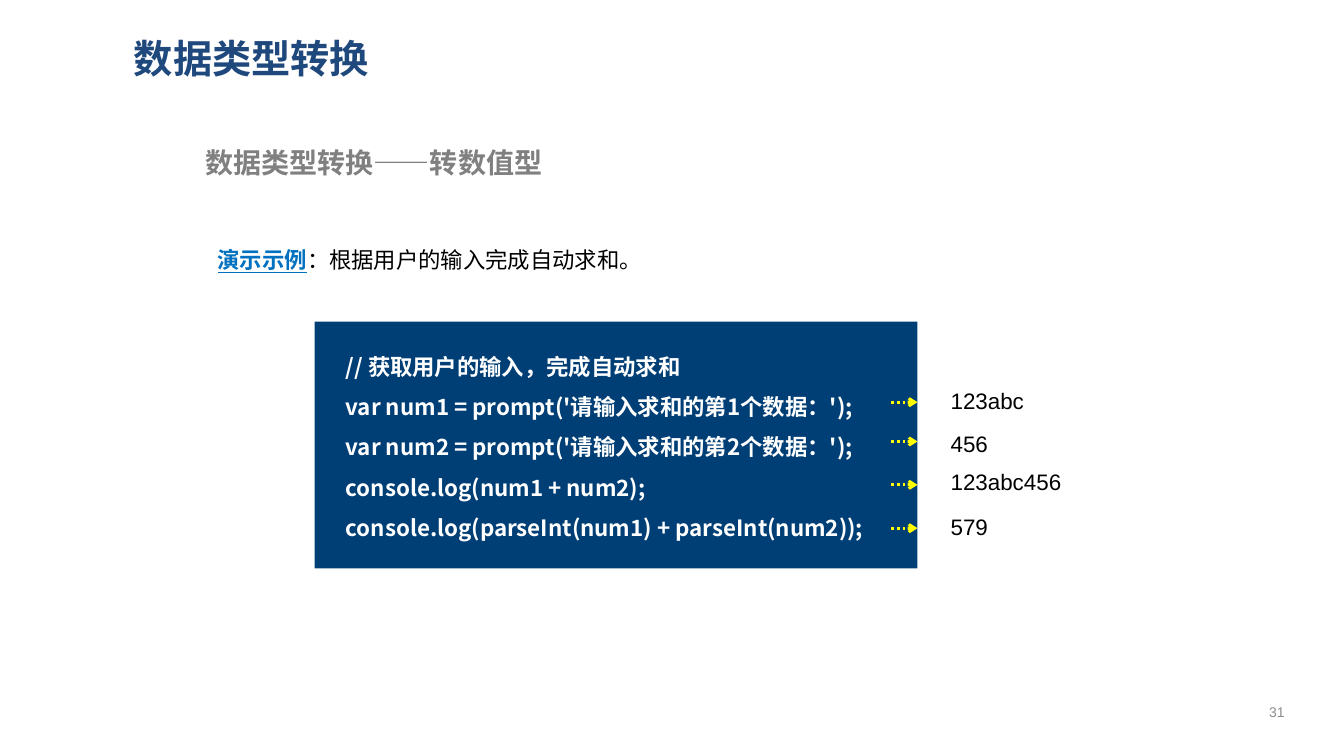
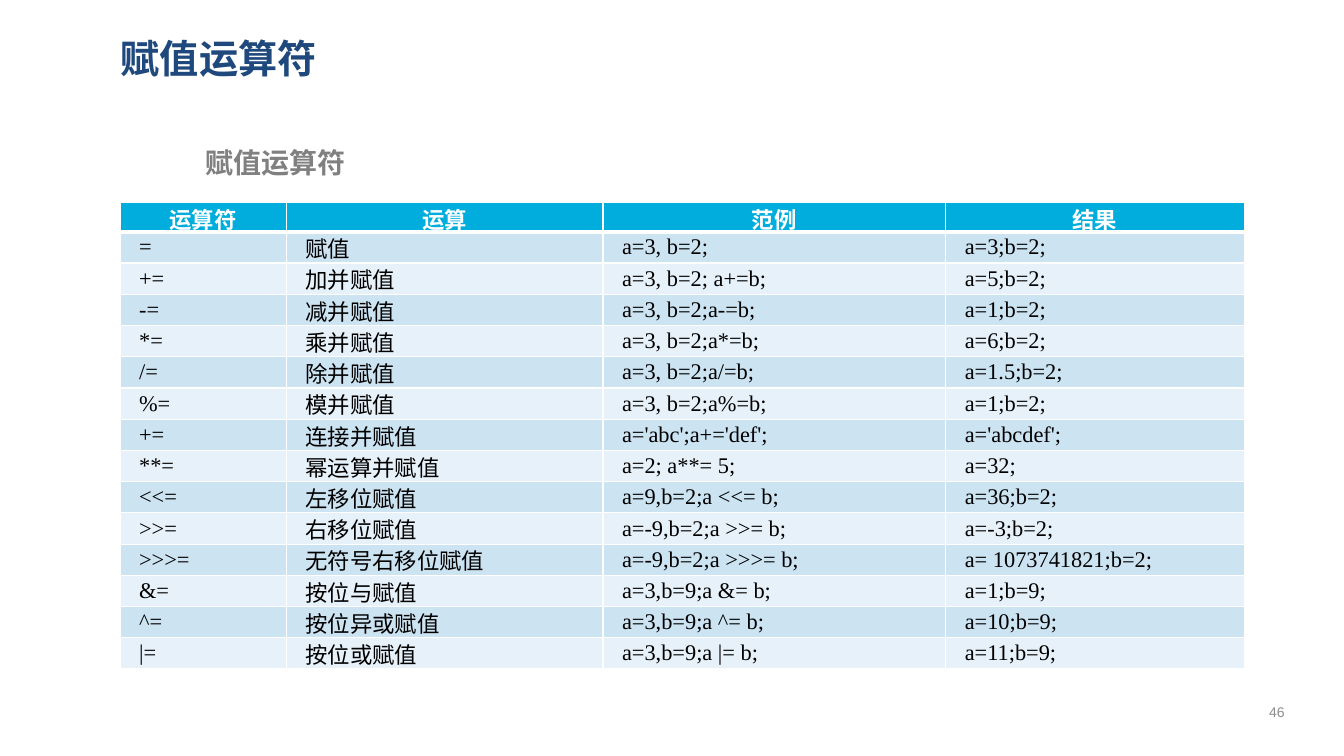
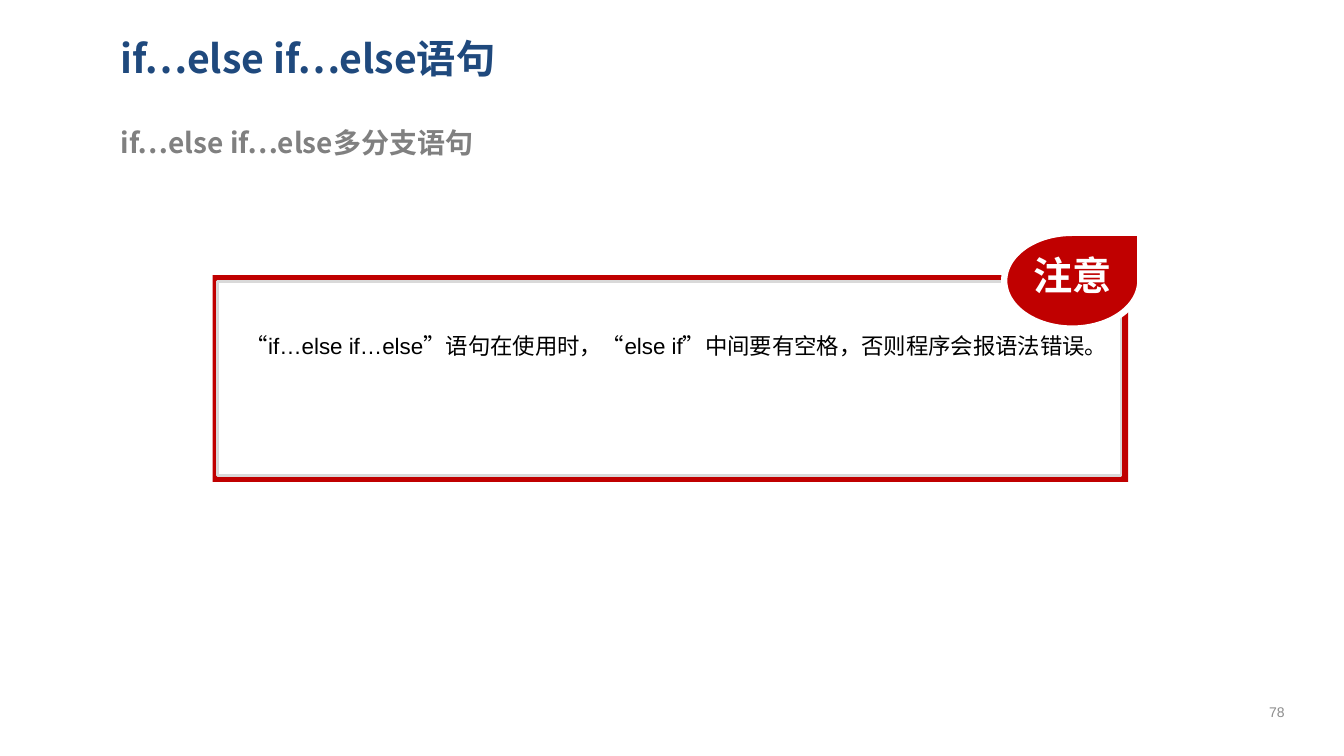
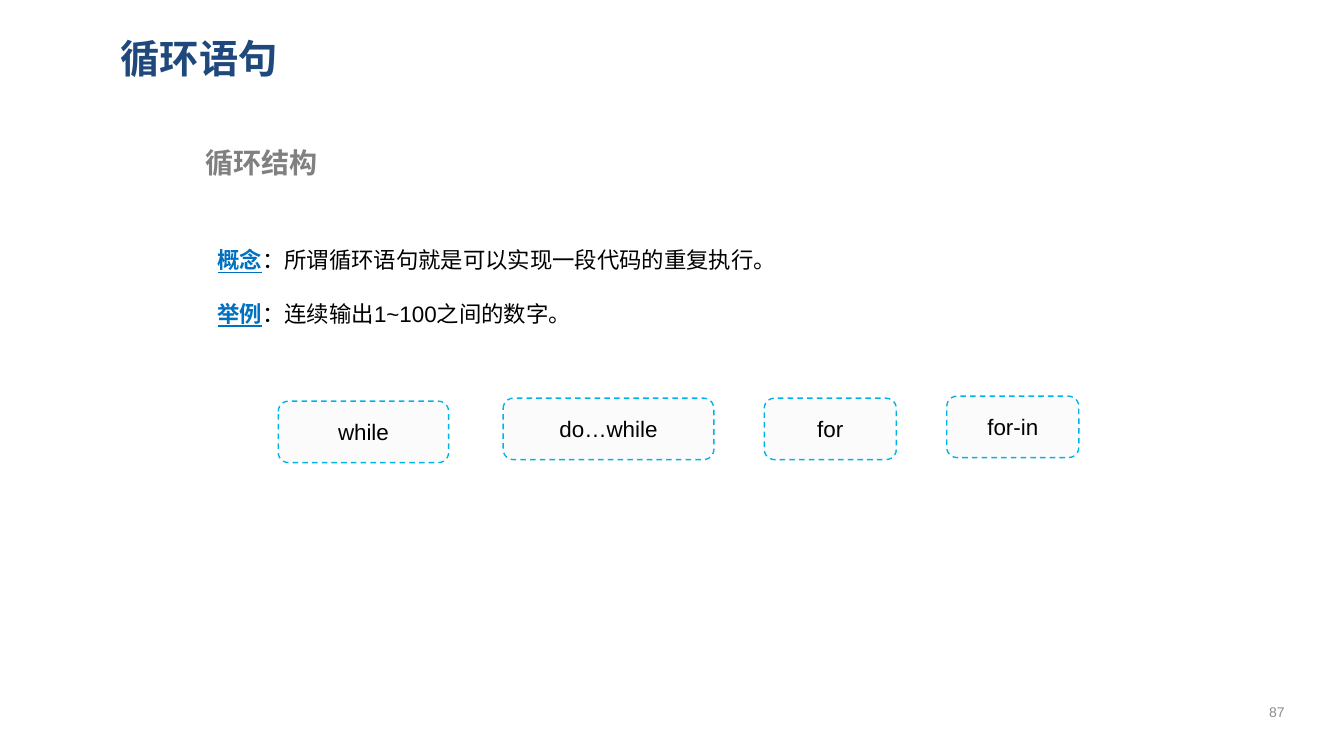
from lxml.etree import SubElement
from pptx import Presentation
from pptx.dml.color import RGBColor
from pptx.enum.dml import MSO_LINE as DASH
from pptx.enum.shapes import MSO_CONNECTOR as CONN, MSO_SHAPE as SHAPE
from pptx.enum.text import MSO_ANCHOR as ANCHOR, MSO_AUTO_SIZE as FIT, PP_ALIGN as ALIGN
from pptx.oxml.ns import qn
from pptx.util import Inches, Pt

COLORS = {
    "title": "1F497D", "subtitle": "808080", "key": "0070C0", "text": "000000",
    "white": "FFFFFF", "code": "003F75", "arrow": "FFFF00", "number": "8C8C8C",
    "head": "00ADDC", "odd": "CCE3F2", "even": "E7F1F9", "alert": "C00000",
    "frame": "D9D9D9", "chip": "FBFBFB", "dash": "00B4E9",
}
CJK = "Noto Sans CJK SC"


def style(size, color, name="Arial", **extra):
    """Return the format values of a run."""
    return {"size": Pt(size), "color": color, "name": name, **extra}


TITLE = style(28, "title", CJK, bold=True)
SUBTITLE = style(20, "subtitle", CJK, bold=True)
BODY = style(16, "text")
KEY = style(16, "key", bold=True, underline=True)
CODE = style(16, "white", CJK, bold=True)
BADGE = style(28, "white", CJK, bold=True)
NUMBER = style(10, "number")
HEAD_CELL = style(16, "white", bold=True)
BODY_CELL = style(16, "text", "Times New Roman", bold=False)

CODE_LINES = [
    "// 获取用户的输入，完成自动求和",
    "var num1 = prompt('请输入求和的第1个数据：');",
    "var num2 = prompt('请输入求和的第2个数据：');",
    "console.log(num1 + num2);",
    "console.log(parseInt(num1) + parseInt(num2));",
]
OUTPUTS = [
    ("123abc", 1.03, 0.8, 0.6), ("456", 0.62, 1.19, 1.03),
    ("123abc456", 1.45, 1.62, 1.41), ("579", 0.62, 2.05, 1.85),
]
OPERATORS = [
    ("运算符", "运算", "范例", "结果"),
    ("=", "赋值", "a=3, b=2;", "a=3;b=2;"),
    ("+=", "加并赋值", "a=3, b=2; a+=b;", "a=5;b=2;"),
    ("-=", "减并赋值", "a=3, b=2;a-=b;", "a=1;b=2;"),
    ("*=", "乘并赋值", "a=3, b=2;a*=b;", "a=6;b=2;"),
    ("/=", "除并赋值", "a=3, b=2;a/=b;", "a=1.5;b=2;"),
    ("%=", "模并赋值", "a=3, b=2;a%=b;", "a=1;b=2;"),
    ("+=", "连接并赋值", "a='abc';a+='def';", "a='abcdef';"),
    ("**=", "幂运算并赋值", "a=2; a**= 5;", "a=32;"),
    ("<<=", "左移位赋值", "a=9,b=2;a <<= b;", "a=36;b=2;"),
    (">>=", "右移位赋值", "a=-9,b=2;a >>= b;", "a=-3;b=2;"),
    (">>>=", "无符号右移位赋值", "a=-9,b=2;a >>>= b;", "a= 1073741821;b=2;"),
    ("&=", "按位与赋值", "a=3,b=9;a &= b;", "a=1;b=9;"),
    ("^=", "按位异或赋值", "a=3,b=9;a ^= b;", "a=10;b=9;"),
    ("|=", "按位或赋值", "a=3,b=9;a |= b;", "a=11;b=9;"),
]
LOOPS = [
    ("while", 2.76, 3.98, 1.69), ("do…while", 4.99, 3.95, 2.09),
    ("for", 7.58, 3.95, 1.31), ("for-in", 9.39, 3.93, 1.31),
]


def rgb(name):
    """Look up a colour by name."""
    return RGBColor.from_string(COLORS[name])


def inches(*values):
    """Turn numbers into lengths."""
    return [Inches(v) for v in values]


def add_run(p, text, fmt):
    """Add a run with the given format to a paragraph."""
    r = p.add_run()
    r.text = text
    for key, value in fmt.items():
        if key == "color":
            r.font.color.rgb = rgb(value)
        else:
            setattr(r.font, key, value)
    SubElement(r.font._element, qn("a:ea"), typeface=CJK)


def fill_text(tf, paragraphs, align=None, spacing=None):
    """Write paragraphs, each a list of (text, format) runs."""
    for i, runs in enumerate(paragraphs):
        p = tf.add_paragraph() if i else tf.paragraphs[0]
        p.alignment, p.line_spacing = align, spacing
        for text, fmt in runs:
            add_run(p, text, fmt)


def add_text(s, box, paragraphs, wrap=True, anchor=ANCHOR.TOP, fit=FIT.SHAPE_TO_FIT_TEXT, **layout):
    """Add a text box."""
    tf = s.shapes.add_textbox(*inches(*box)).text_frame
    tf.word_wrap, tf.vertical_anchor, tf.auto_size = wrap, anchor, fit
    fill_text(tf, paragraphs, **layout)


def add_box(s, kind, box, fill, line=None, width=1, dash=None):
    """Add a filled preset shape without shadow."""
    sp = s.shapes.add_shape(kind, *inches(*box))
    sp.shadow.inherit = False
    sp.fill.solid()
    sp.fill.fore_color.rgb = rgb(fill)
    if line:
        sp.line.color.rgb = rgb(line)
        sp.line.width = Pt(width)
        sp.line.dash_style = dash
    else:
        sp.line.fill.background()
    return sp


def add_arrow(s, x, y, length):
    """Add a dotted arrow pointing right."""
    c = s.shapes.add_connector(CONN.STRAIGHT, *inches(x, y, x + length, y))
    c.line.color.rgb = rgb("arrow")
    c.line.width = Pt(2)
    c.line.dash_style = DASH.ROUND_DOT
    SubElement(c.line._get_or_add_ln(), qn("a:tailEnd"), type="arrow")
    SubElement(c._element.spPr, qn("a:effectLst"))


def add_page(prs, title, subtitle, number, title_x=1.1, sub_at=(1.94, 1.39)):
    """Add a slide with title, subtitle and page number."""
    s = prs.slides.add_slide(prs.slide_layouts[6])
    add_text(s, (title_x, 0.24, 11.65, 0.67), [[(title, TITLE)]], anchor=ANCHOR.MIDDLE, fit=FIT.NONE)
    add_text(s, (*sub_at, 9.22, 0.44), [[(subtitle, SUBTITLE)]])
    add_text(s, (12.34, 6.86, 0.65, 0.4), [[(str(number), NUMBER)]],
             anchor=ANCHOR.MIDDLE, fit=FIT.NONE, align=ALIGN.CENTER)
    return s


def add_points(s, x, y, points):
    """Add lines that start with an underlined key word."""
    add_text(s, (x, y, 9.19, 0.61 * len(points)),
             [[(key, KEY), (text, BODY)] for key, text in points], spacing=2.0)


def add_code(s, x, y, w, h):
    """Add the code panel with arrows to its outputs."""
    add_box(s, SHAPE.RECTANGLE, (x, y, w, h), "code")
    add_text(s, (x + 0.21, y + 0.13, w - 0.21, h - 0.33),
             [[(line, CODE)] for line in CODE_LINES], spacing=1.5)
    for text, width, arrow_dy, text_dy in OUTPUTS:
        add_arrow(s, x + w - 0.26, y + arrow_dy, 0.26)
        add_text(s, (x + w + 0.23, y + text_dy, width, 0.4), [[(text, BODY)]], wrap=False)


def style_cell(cell, text, row):
    """Write one table cell with its borders and fill."""
    head = row == 0
    pad = Inches(0.08 if head else 0.07)
    values = {"margin_left": pad, "margin_right": pad, "margin_top": 0, "margin_bottom": 0,
              "vertical_anchor": ANCHOR.MIDDLE}
    for key, value in values.items():
        setattr(cell, key, value)
    fill_text(cell.text_frame, [[(text, HEAD_CELL if head else BODY_CELL)]],
              align=ALIGN.CENTER if head else ALIGN.JUSTIFY)
    if not head:
        cell.text_frame.paragraphs[0]._p.get_or_add_pPr().set("marL", str(Inches(0.12)))
    tcPr = cell._tc.get_or_add_tcPr()
    thick = {0: "B", 1: "T"}.get(row)
    for side in "LRTB":
        ln = SubElement(tcPr, qn(f"a:ln{side}"), w=str(Pt(3 if side == thick else 1)))
        SubElement(SubElement(ln, qn("a:solidFill")), qn("a:srgbClr"), val=COLORS["white"])
    cell.fill.solid()
    cell.fill.fore_color.rgb = rgb("head" if head else "odd" if row % 2 else "even")


def add_operators(s, x, y, widths, head_h, row_h):
    """Add the table of operators."""
    height = head_h + row_h * (len(OPERATORS) - 1)
    table = s.shapes.add_table(len(OPERATORS), len(widths), *inches(x, y, sum(widths), height)).table
    for column, width in zip(table.columns, widths):
        column.width = Inches(width)
    for i, texts in enumerate(OPERATORS):
        table.rows[i].height = Inches(row_h if i else head_h)
        for j, text in enumerate(texts):
            style_cell(table.cell(i, j), text, i)


def add_notice(s, x, y, w, h, text):
    """Add a framed notice with a badge on its top right corner."""
    add_box(s, SHAPE.RECTANGLE, (x, y, w, h), "alert")
    add_box(s, SHAPE.RECTANGLE, (x + 0.05, y + 0.06, w - 0.12, h - 0.12), "white", "frame", 2)
    badge_x, badge_y = x + w - 1.23, y - 0.42
    add_box(s, SHAPE.TEAR, (badge_x, badge_y, 1.35, 0.95), "alert", "white", 4.5)
    add_text(s, (badge_x + 0.19, badge_y + 0.13, 0.99, 0.57), [[("注意", BADGE)]], wrap=False)
    add_text(s, (x + 0.23, y + 0.25, w - 0.48, 1.22), [[(text, BODY)]], spacing=2.0)


def add_chip(s, text, x, y, w, h=0.61):
    """Add a dashed rounded box with a centred word."""
    sp = add_box(s, SHAPE.ROUNDED_RECTANGLE, (x, y, w, h), "chip", "dash", 1, DASH.DASH)
    sp.text_frame.vertical_anchor = ANCHOR.MIDDLE
    fill_text(sp.text_frame, [[(text, BODY)]], align=ALIGN.CENTER)


def main():
    """Build and save the slides."""
    prs = Presentation()
    prs.slide_width, prs.slide_height = inches(13.33, 7.5)

    s = add_page(prs, "数据类型转换", "数据类型转换——转数值型", 31, title_x=1.23)
    add_points(s, 2.06, 2.13, [("演示示例", "：根据用户的输入完成自动求和。")])
    add_code(s, 3.12, 3.19, 5.98, 2.45)

    s = add_page(prs, "赋值运算符", "赋值运算符", 46)
    add_operators(s, 1.19, 2.01, (1.65, 3.14, 3.4, 2.96), 0.29, 0.31)

    s = add_page(prs, "if…else if…else语句", "if…else if…else多分支语句", 78, sub_at=(1.1, 1.2))
    add_notice(s, 2.11, 2.73, 9.08, 2.05,
               "“if…else if…else”语句在使用时，“else if”中间要有空格，否则程序会报语法错误。")

    s = add_page(prs, "循环语句", "循环结构", 87)
    add_points(s, 2.06, 2.13, [("概念", "：所谓循环语句就是可以实现一段代码的重复执行。"),
                               ("举例", "：连续输出1~100之间的数字。")])
    for loop in LOOPS:
        add_chip(s, *loop)

    prs.save("out.pptx")


if __name__ == "__main__":
    main()
